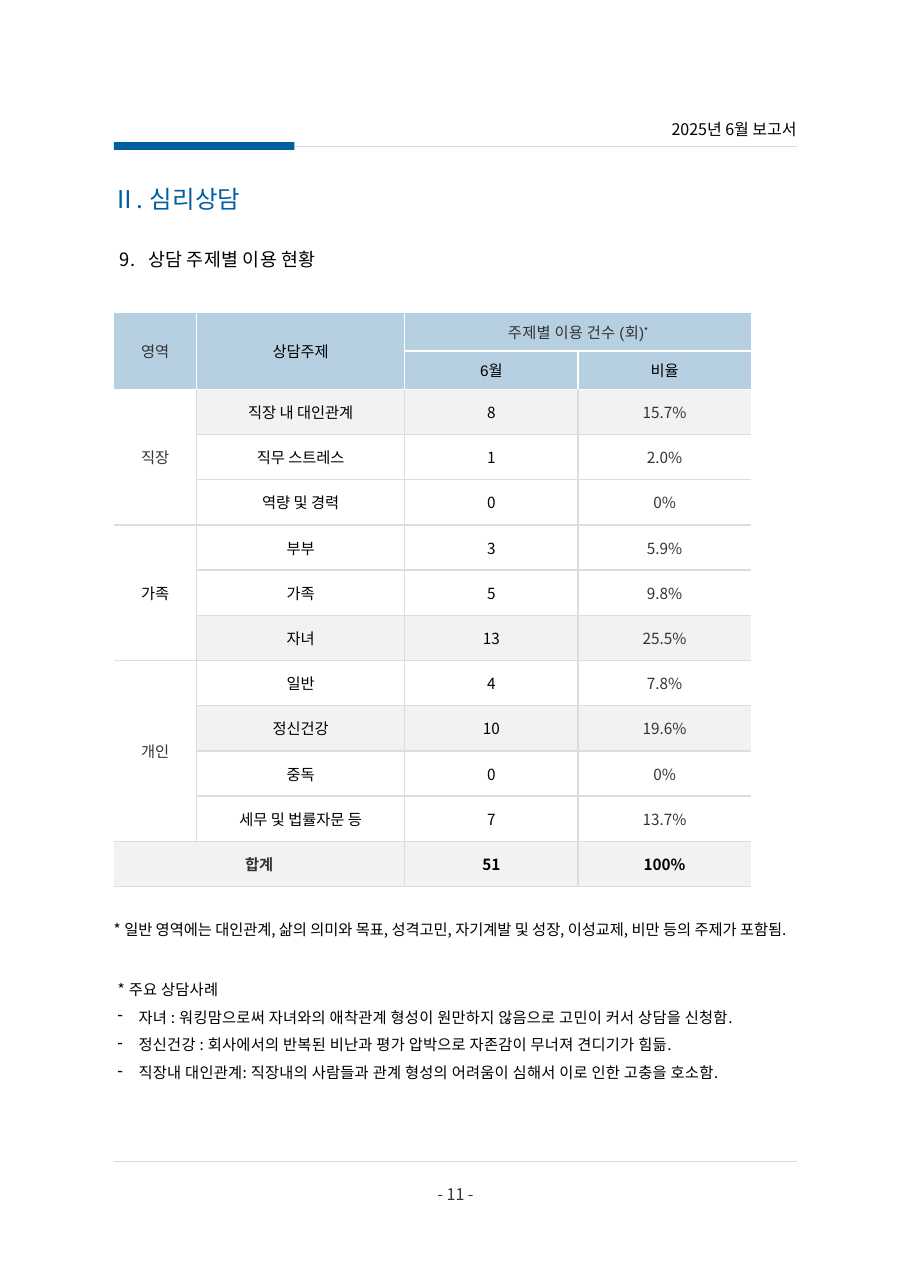
import pptx
import pptx.dml.color
import pptx.enum.shapes
import pptx.enum.text
import pptx.oxml.ns
import pptx.util
from lxml import etree

RGBColor = pptx.dml.color.RGBColor
ALIGN = pptx.enum.text.PP_ALIGN
Pt = pptx.util.Pt
qn = pptx.oxml.ns.qn

BLUE = RGBColor(0x00, 0x5F, 0xA1)
HEADER_BLUE = RGBColor(0xB6, 0xD0, 0xE1)
HIGHLIGHT = RGBColor(0xF2, 0xF2, 0xF2)
RULE_GRAY = RGBColor(0xD9, 0xD9, 0xD9)
GRID_GRAY = RGBColor(0xDD, 0xDD, 0xDD)
DARK = RGBColor(0x33, 0x33, 0x33)
BLACK = RGBColor(0x00, 0x00, 0x00)
WHITE = RGBColor(0xFF, 0xFF, 0xFF)

SANS = "Noto Sans CJK KR"
ARIAL = "Arial"
WIDTH = pptx.util.Inches(8.26)
HEIGHT = pptx.util.Inches(11.69)
LEFT, RIGHT = 12.5, 87.53
COLUMN_SHARES = (9.1, 22.87, 19.04, 19.04)
HEADER_ROWS = 2
HEADER_ROW_SHARE, BODY_ROW_SHARE = 2.97, 3.51

HEADINGS = [
    (0, 0, 1, 0, "영역", DARK, 9.1),
    (0, 1, 1, 1, "상담주제", BLACK, 9.1),
    (0, 2, 0, 3, "주제별 이용 건수 (회)", DARK, 8.8),
    (1, 2, 1, 2, "6월", BLACK, 3.4),
    (1, 3, 1, 3, "비율", BLACK, 3.4),
]
AREAS = [("직장", 3, DARK), ("가족", 3, BLACK), ("개인", 4, DARK)]
TOPICS = [
    ("직장 내 대인관계", "8", "15.7%"),
    ("직무 스트레스", "1", "2.0%"),
    ("역량 및 경력", "0", "0%"),
    ("부부", "3", "5.9%"),
    ("가족", "5", "9.8%"),
    ("자녀", "13", "25.5%"),
    ("일반", "4", "7.8%"),
    ("정신건강", "10", "19.6%"),
    ("중독", "0", "0%"),
    ("세무 및 법률자문 등", "7", "13.7%"),
]
HIGHLIGHTED_TOPICS = {"직장 내 대인관계", "자녀", "정신건강"}
CASES = [
    "자녀 : 워킹맘으로써 자녀와의 애착관계 형성이 원만하지 않음으로 고민이 커서 상담을 신청함.",
    "정신건강 : 회사에서의 반복된 비난과 평가 압박으로 자존감이 무너져 견디기가 힘듦.",
    "직장내 대인관계: 직장내의 사람들과 관계 형성의 어려움이 심해서 이로 인한 고충을 호소함.",
]


def across(percent):
    return round(WIDTH * percent / 100)


def down(percent):
    return round(HEIGHT * percent / 100)


def style_paragraph(paragraph, size, color, face=SANS, bold=False, align=ALIGN.LEFT,
                    before=0, spacing=None, tracking=0):
    paragraph.alignment = align
    paragraph.space_before = Pt(before)
    if spacing:
        paragraph.line_spacing = spacing
    font = paragraph.font
    font.size, font.name, font.bold = Pt(size), face, bold
    font.color.rgb = color
    properties = paragraph._p.get_or_add_pPr().get_or_add_defRPr()
    etree.SubElement(properties, qn("a:ea")).set("typeface", SANS)
    if tracking:
        properties.set("spc", str(round(tracking * 100)))


def indent(paragraph, margin, first, bullet=None):
    properties = paragraph._p.get_or_add_pPr()
    properties.set("marL", str(across(margin)))
    properties.set("indent", str(across(first)))
    if bullet:
        mark = etree.Element(qn("a:buChar"))
        mark.set("char", bullet)
        properties.insert_element_before(mark, "a:tabLst", "a:defRPr", "a:extLst")


def add_text(slide, left, top, width, height, lines, margins=None, **style):
    box = slide.shapes.add_textbox(across(left), down(top), across(width), down(height))
    frame = box.text_frame
    frame.word_wrap = True
    frame.auto_size = pptx.enum.text.MSO_AUTO_SIZE.SHAPE_TO_FIT_TEXT
    if margins is not None:
        frame.margin_left = frame.margin_right = frame.margin_bottom = 0
        frame.margin_top = down(margins)
    for number, line in enumerate(lines):
        paragraph = frame.add_paragraph() if number else frame.paragraphs[0]
        paragraph.text = line
        style_paragraph(paragraph, **style)
    return frame.paragraphs


def add_rule(shapes, left, top):
    rule = shapes.add_connector(pptx.enum.shapes.MSO_CONNECTOR.STRAIGHT,
                                across(left), down(top), across(RIGHT), down(top))
    rule.line.color.rgb = RULE_GRAY
    rule.line.width = Pt(0.75)
    etree.SubElement(rule._element.spPr, qn("a:effectLst"))


def add_header_band(slide):
    band = slide.shapes.add_group_shape().shapes
    add_rule(band, 30.39, 11.38)
    accent = band.add_shape(pptx.enum.shapes.MSO_SHAPE.RECTANGLE,
                            across(LEFT), down(11.04), across(19.85), down(0.6))
    accent.shadow.inherit = False
    accent.fill.solid()
    accent.fill.fore_color.rgb = BLUE
    accent.line.fill.background()


def set_border(cell, side, color):
    edge = etree.SubElement(cell._tc.get_or_add_tcPr(), qn("a:ln" + side))
    edge.set("w", str(Pt(1) if color else 0))
    if color:
        fill = etree.SubElement(edge, qn("a:solidFill"))
        etree.SubElement(fill, qn("a:srgbClr")).set("val", str(color))
    else:
        etree.SubElement(edge, qn("a:noFill"))


def dress_cell(cell, row, column, fill):
    grid = WHITE if row < HEADER_ROWS else GRID_GRAY
    set_border(cell, "L", grid if column else None)
    set_border(cell, "R", grid if column < len(COLUMN_SHARES) - 1 else None)
    set_border(cell, "T", WHITE if row <= HEADER_ROWS else grid)
    set_border(cell, "B", WHITE if row < HEADER_ROWS else grid)
    if fill:
        cell.fill.solid()
        cell.fill.fore_color.rgb = fill
    else:
        cell.fill.background()


def fill_block(table, top, left, bottom, right, text, color, before=0, fill=None,
               face=ARIAL, bold=False, margin=0.04, tracking=0):
    for row in range(top, bottom + 1):
        for column in range(left, right + 1):
            dress_cell(table.cell(row, column), row, column, fill)
    cell = table.cell(top, left)
    if (top, left) != (bottom, right):
        cell.merge(table.cell(bottom, right))
    cell.vertical_anchor = pptx.enum.text.MSO_ANCHOR.MIDDLE
    cell.margin_left = cell.margin_right = pptx.util.Inches(margin)
    cell.margin_top = cell.margin_bottom = pptx.util.Inches(margin)
    paragraph = cell.text_frame.paragraphs[0]
    paragraph.text = text
    style_paragraph(paragraph, 10, color, face, bold, ALIGN.CENTER, before, tracking=tracking)
    return paragraph


def add_usage_table(slide):
    total_row = HEADER_ROWS + len(TOPICS)
    row_shares = [HEADER_ROW_SHARE] * HEADER_ROWS + [BODY_ROW_SHARE] * (len(TOPICS) + 1)
    table = slide.shapes.add_table(len(row_shares), len(COLUMN_SHARES), across(LEFT), down(24.29),
                                   across(sum(COLUMN_SHARES)), down(sum(row_shares))).table
    table.first_row = table.horz_banding = False
    for column, share in zip(table.columns, COLUMN_SHARES):
        column.width = across(share)
    for row, share in zip(table.rows, row_shares):
        row.height = down(share)

    for top, left, bottom, right, text, color, before in HEADINGS:
        spanning = right > left
        heading = fill_block(table, top, left, bottom, right, text, color, before, HEADER_BLUE,
                             tracking=0.2 if spanning else 0)
        if spanning:
            asterisk = heading.add_run()
            asterisk.text = "*"
            asterisk.font.color.rgb = BLACK
            asterisk._r.get_or_add_rPr().set("baseline", "30000")

    area_row = HEADER_ROWS
    for area, span, color in AREAS:
        fill_block(table, area_row, 0, area_row + span - 1, 0, area, color, 8.6)
        area_row += span
    for row, (topic, count, ratio) in enumerate(TOPICS, HEADER_ROWS):
        fill = HIGHLIGHT if topic in HIGHLIGHTED_TOPICS else None
        fill_block(table, row, 1, row, 1, topic, BLACK, 8.6, fill, SANS, margin=0)
        fill_block(table, row, 2, row, 2, count, BLACK, 0, fill, SANS, margin=0.01)
        fill_block(table, row, 3, row, 3, ratio, DARK, 0, fill, SANS, margin=0.01)
    fill_block(table, total_row, 0, total_row, 1, "합계", DARK, 8.6, HIGHLIGHT, bold=True)
    for column, total in enumerate(("51", "100%"), 2):
        fill_block(table, total_row, column, total_row, column, total, BLACK, 0,
                   HIGHLIGHT, SANS, True, 0.01)


def main():
    report = pptx.Presentation()
    report.slide_width, report.slide_height = WIDTH, HEIGHT
    slide = report.slides.add_slide(report.slide_layouts[6])

    add_header_band(slide)
    add_rule(slide.shapes, LEFT, 90.16)
    add_text(slide, 47.58, 91.7, 4.96, 1.71, ["- 11 -"], 0.26,
             size=10.5, color=DARK, align=ALIGN.CENTER, before=1.9)
    subtitle = add_text(slide, LEFT, 17.71, 74.82, 3.08, ["9.\t상담 주제별 이용 현황"], 0.68,
                        size=12, color=BLACK, before=6, spacing=1.5, tracking=0.2)
    indent(subtitle[0], 3.8, -3.15)
    add_text(slide, 11.14, 13.86, 28.33, 3.17, ["Ⅱ. 심리상담"],
             size=16, color=BLUE, tracking=0.2)
    add_usage_table(slide)
    note = "* 일반 영역에는 대인관계, 삶의 의미와 목표, 성격고민, 자기계발 및 성장, 이성교제, 비만 등의 주제가 포함됨."
    add_text(slide, LEFT, 70.66, 74.82, 3.85, [note], 0.09,
             size=10, color=BLACK, before=1, spacing=1.5)
    add_text(slide, 67.07, 9.15, 20.46, 1.63, ["2025년 6월 보고서"], 0.09,
             size=10.5, color=BLACK, align=ALIGN.RIGHT, before=1)
    title, *cases = add_text(slide, 11.62, 75.71, 76.39, 8.81, ["* 주요 상담사례", *CASES],
                             size=10, color=BLACK, align=ALIGN.JUSTIFY, before=6, tracking=0.2)
    indent(title, 0.12, 0)
    for case in cases:
        indent(case, 2.42, -2.3, "-")
    report.save("out.pptx")


if __name__ == "__main__":
    main()
